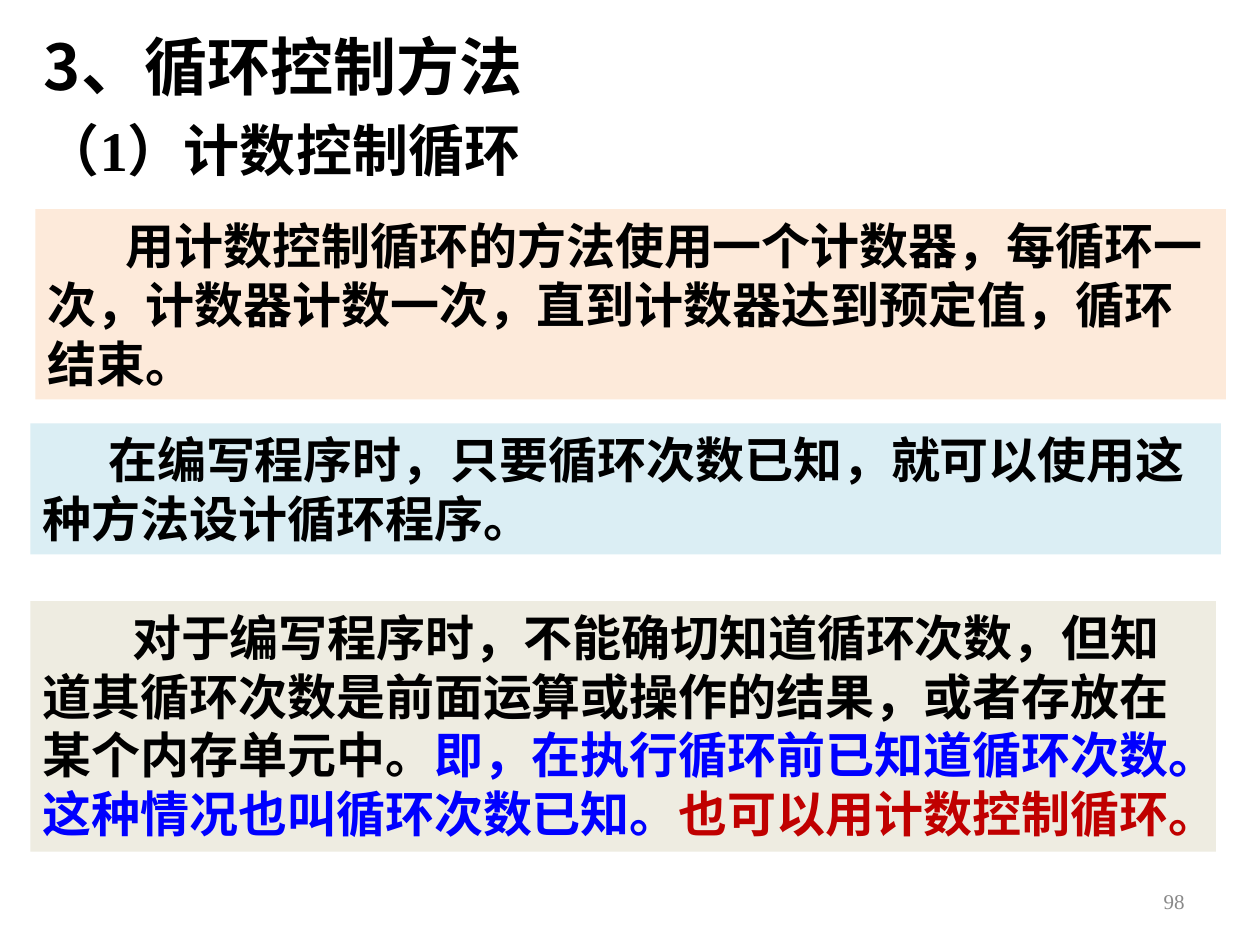
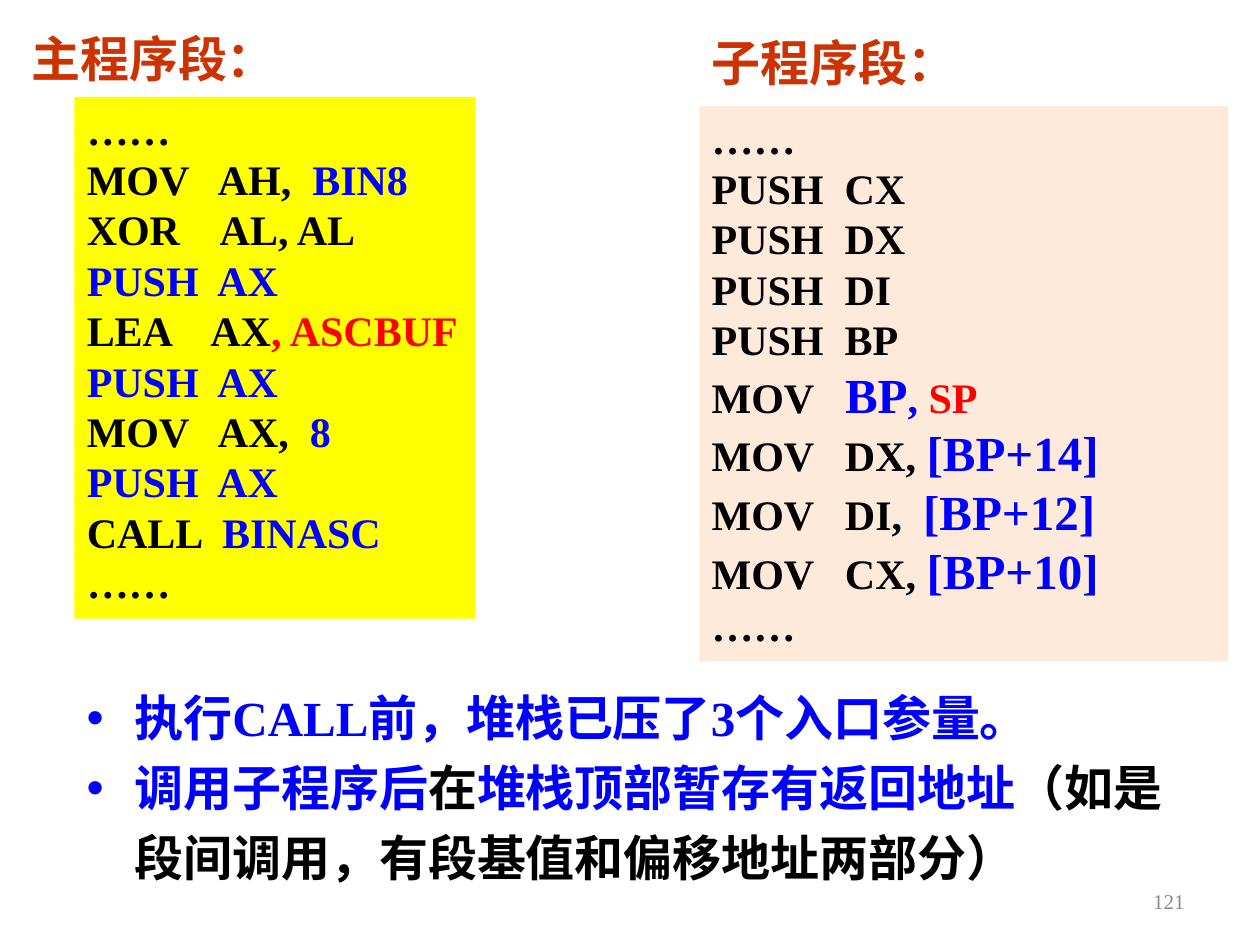
from dataclasses import dataclass

from lxml import etree
from pptx import Presentation
from pptx.dml.color import RGBColor
from pptx.enum import shapes, text
from pptx.oxml.ns import qn
from pptx.util import Inches, Pt


@dataclass(frozen=True)
class Theme:
    """Colours, fonts and type sizes shared by the slides."""
    black: str = "000000"
    blue: str = "0000FF"
    red: str = "FF0000"
    dark_red: str = "C00000"
    heading: str = "CC3300"
    grey: str = "898989"
    peach: str = "FDEADA"
    aqua: str = "DBEEF4"
    sand: str = "EEECE1"
    yellow: str = "FFFF00"
    latin: str = "Times New Roman"
    cjk: str = "Noto Sans CJK SC"
    title: int = 36
    subtitle: int = 32
    body: int = 28
    code: int = 24
    number: int = 12


T = Theme()


def add_runs(p, runs, size, font=T.latin, bold=True):
    """Add (text, colour, size) runs to a paragraph; colour and size are optional."""
    for item in runs:
        words, color, run_size = (item, None, None) if isinstance(item, str) else (*item, None)[:3]
        r = p.add_run()
        r.text = words
        r.font.size = Pt(run_size or size)
        r.font.bold = bold
        r.font.name = font
        r.font.color.rgb = RGBColor.from_string(color or T.black)
        etree.SubElement(r._r.get_or_add_rPr(), qn("a:ea"), typeface=T.cjk)


def add_box(slide, box, paragraphs, size, fill=None, font=T.latin, wrap=True, bold=True):
    """Place a text box, or a filled rectangle, and return its text frame."""
    at = [Inches(v) for v in box]
    if fill:
        sp = slide.shapes.add_shape(shapes.MSO_SHAPE.RECTANGLE, *at)
        sp.shadow.inherit = False
        sp.fill.solid()
        sp.fill.fore_color.rgb = RGBColor.from_string(fill)
        sp.line.fill.background()
    else:
        sp = slide.shapes.add_textbox(*at)
    tf = sp.text_frame
    tf.word_wrap = wrap
    tf.vertical_anchor = text.MSO_ANCHOR.TOP
    for i, runs in enumerate(paragraphs):
        p = tf.add_paragraph() if i else tf.paragraphs[0]
        p.alignment = text.PP_ALIGN.LEFT
        add_runs(p, runs, size, font, bold)
    return tf


def add_number(slide, number):
    """Place the slide number at the lower right."""
    tf = add_box(slide, (7.17, 6.95, 2.33, 0.4), [[(number, T.grey)]], T.number, bold=False)
    tf.vertical_anchor = text.MSO_ANCHOR.MIDDLE
    tf.paragraphs[0].alignment = text.PP_ALIGN.RIGHT


def add_panel(slide, box, fill, indent, runs):
    """Place a filled paragraph whose first line is indented."""
    tf = add_box(slide, box, [runs], T.body, fill)
    tf.paragraphs[0]._p.get_or_add_pPr().set("indent", str(Inches(indent)))


def add_listing(slide, box, title_at, title, fill, lines):
    """Place a code panel with its heading at an offset from the panel."""
    left, top = box[:2]
    dx, dy = title_at
    add_box(slide, (left + dx, top + dy, 2.16, 0.57), [[(title, T.heading)]],
            T.body, font=T.cjk, wrap=False)
    add_box(slide, box, lines, T.code, fill, wrap=False)


def add_bullets(slide, box, items):
    """Place a bulleted list with fixed line spacing."""
    tf = add_box(slide, box, items, T.body)
    for p in tf.paragraphs:
        pPr = p._p.get_or_add_pPr()
        pPr.set("marL", str(Inches(0.38)))
        pPr.set("indent", str(-Inches(0.38)))
        etree.SubElement(pPr, qn("a:buFont"), typeface="Arial")
        etree.SubElement(pPr, qn("a:buChar"), char="•")
        p.line_spacing = Pt(40)


def build_loop_control(slide):
    """Build the slide on count-controlled loops."""
    add_box(slide, (0.25, 0.17, 5.5, 0.7), [["3、循环控制方法"]], T.title, font=T.cjk)
    add_box(slide, (0.25, 0.87, 4.92, 0.63), [["（1）计数控制循环"]], T.subtitle)
    add_panel(slide, (0.28, 1.66, 9.45, 1.51), T.peach, 0.62, [
        "用计数控制循环的方法使用一个计数器，每循环一次，计数器计数一次，直到计数器达到预定值，循环结束。"])
    add_panel(slide, (0.24, 3.36, 9.45, 1.04), T.aqua, 0.52, [
        "在编写程序时，只要循环次数已知，就可以使用这种方法设计循环程序。"])
    add_panel(slide, (0.24, 4.77, 9.41, 1.99), T.sand, 0.71, [
        "对于编写程序时，不能确切知道循环次数，但知道其循环次数是前面运算或操作的结果，或者存放在某个内存单元中。",
        ("即，在执行循环前已知道循环次数。这种情况也叫循环次数已知。", T.blue),
        ("也可以用计数控制循环。", T.dark_red)])
    add_number(slide, "98")


def build_stack_call(slide):
    """Build the slide comparing the main program with the subroutine."""
    push_ax = [("PUSH  AX", T.blue)]
    add_listing(slide, (0.59, 0.77, 3.18, 4.14), (-0.44, -0.59), "主程序段：", T.yellow, [
        ["……"],
        ["MOV   AH,  ", ("BIN8", T.blue)],
        ["XOR    AL, AL"],
        push_ax,
        ["LEA    AX", (", ASCBUF", T.red)],
        push_ax,
        ["MOV   AX,  ", ("8", T.blue)],
        push_ax,
        ["CALL  ", ("BINASC", T.blue)],
        ["……"]])
    pushes = [[f"PUSH  {register}"] for register in ("CX", "DX", "DI", "BP")]
    loads = [[f"MOV   {target}", (f"[BP+{offset}]", T.blue, T.body)]
             for target, offset in (("DX, ", 14), ("DI,  ", 12), ("CX, ", 10))]
    frame = ["MOV   ", ("BP", T.blue, T.body), (", ", T.blue), ("SP", T.red)]
    add_listing(slide, (5.55, 0.84, 4.2, 4.41), (0, -0.63), "子程序段：", T.peach,
                [["……"], *pushes, frame, *loads, ["……"]])
    add_bullets(slide, (0.59, 5.32, 8.74, 1.78), [
        [("执行CALL前，堆栈已压了3个入口参量。", T.blue)],
        [("调用子程序后", T.blue), "在", ("堆栈顶部暂存有返回地址", T.blue),
         "（如是段间调用，有段基值和偏移地址两部分）"]])
    add_number(slide, "121")


def main():
    """Build and save the presentation."""
    prs = Presentation()
    prs.slide_width, prs.slide_height = Inches(10), Inches(7.5)
    for build in (build_loop_control, build_stack_call):
        build(prs.slides.add_slide(prs.slide_layouts[6]))
    prs.save("out.pptx")


if __name__ == "__main__":
    main()
